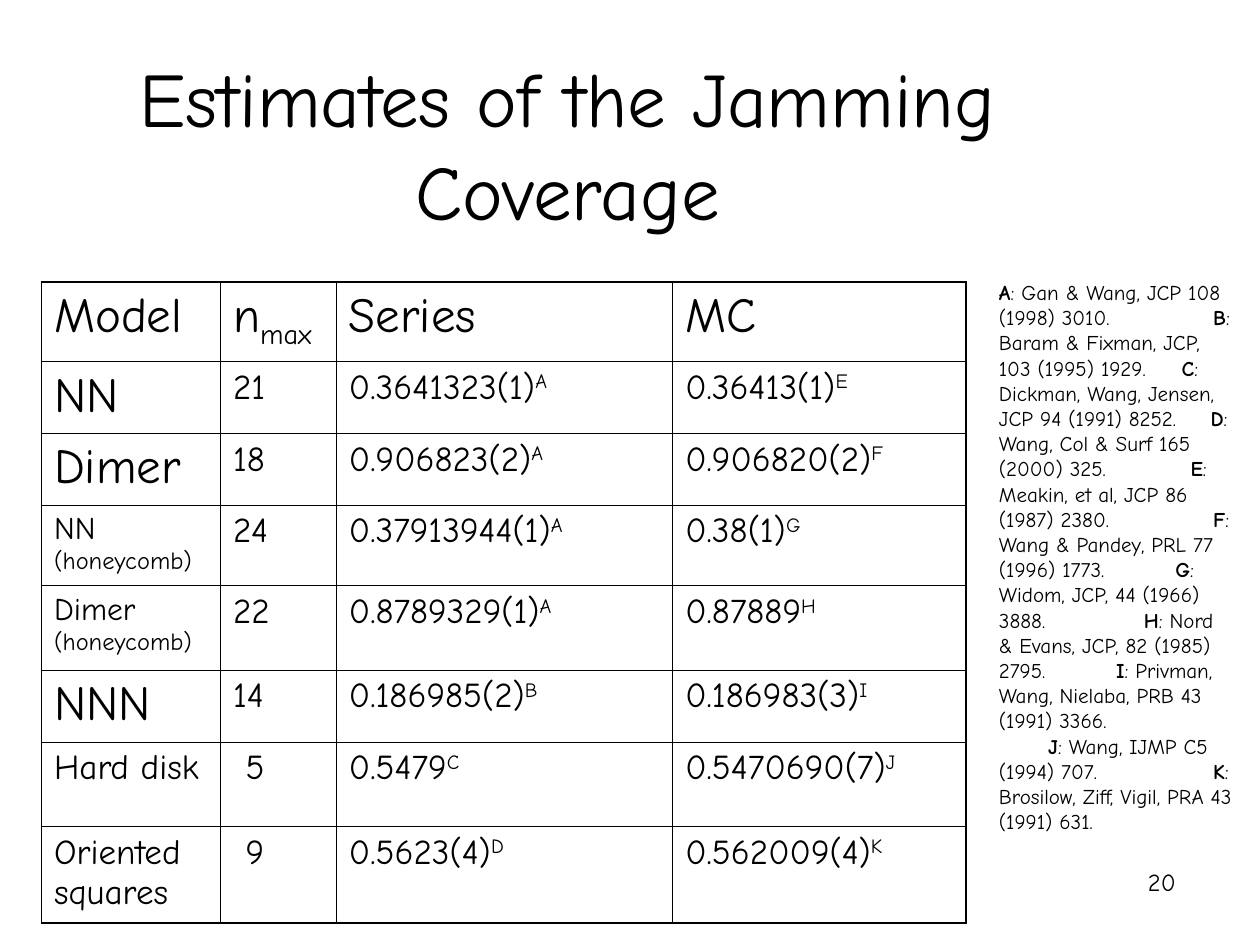
from dataclasses import dataclass
from typing import NamedTuple

from lxml.etree import SubElement
from pptx import Presentation
from pptx.dml.color import RGBColor
from pptx.enum.text import MSO_ANCHOR, MSO_AUTO_SIZE, PP_ALIGN
from pptx.oxml.ns import qn
from pptx.util import Inches, Pt

SLIDE_WIDTH = Inches(10)
SLIDE_HEIGHT = Inches(7.5)
FONT = "Comic Neue"
BLACK = "000000"
OUTER_LINE = 1.08
INNER_LINE = 0.45


class Piece(NamedTuple):
    text: str
    size: float
    baseline: int = 0
    bold: bool = False


@dataclass
class Box:
    left: float
    top: float
    width: float
    height: float

    def lengths(self) -> tuple:
        return (across(self.left), down(self.top), across(self.width), down(self.height))


@dataclass
class Model:
    label: list
    order: str
    series: tuple
    monte_carlo: tuple


class Citation(NamedTuple):
    text: str
    tab_stops: tuple = ()


def across(percent: float) -> int:
    return round(SLIDE_WIDTH * percent / 100)


def down(percent: float) -> int:
    return round(SLIDE_HEIGHT * percent / 100)


def colour(value: str) -> RGBColor:
    return RGBColor.from_string(value)


def write(paragraph, pieces: list, alignment=PP_ALIGN.LEFT) -> None:
    paragraph.alignment = alignment
    for piece in pieces:
        run = paragraph.add_run()
        run.text = piece.text
        for name, value in {"name": FONT, "size": Pt(piece.size), "bold": piece.bold}.items():
            setattr(run.font, name, value)
        run.font.color.rgb = colour(BLACK)
        if piece.baseline:
            run._r.get_or_add_rPr().set("baseline", str(piece.baseline * 1000))


def prepare(text_frame, anchor=MSO_ANCHOR.TOP) -> None:
    settings = {"word_wrap": True, "auto_size": MSO_AUTO_SIZE.NONE, "vertical_anchor": anchor}
    for name, value in settings.items():
        setattr(text_frame, name, value)


def add_text_box(slide, box: Box):
    text_frame = slide.shapes.add_textbox(*box.lengths()).text_frame
    prepare(text_frame)
    return text_frame


def add_borders(cell, widths: dict) -> None:
    properties = cell._tc.get_or_add_tcPr()
    for side, width in widths.items():
        line = SubElement(properties, qn(f"a:ln{side}"), w=str(Pt(width)))
        fill = SubElement(line, qn("a:solidFill"))
        SubElement(fill, qn("a:srgbClr"), val=BLACK)


def add_table(slide, box: Box, columns: list, heights: list, rows: list) -> None:
    table = slide.shapes.add_table(len(rows), len(columns), *box.lengths()).table
    table.first_row = table.horz_banding = False
    for column, width in zip(table.columns, columns):
        column.width = across(width)
    for row, height in zip(table.rows, heights):
        row.height = down(height)
    for r, row in enumerate(rows):
        for c, pieces in enumerate(row):
            cell = table.cell(r, c)
            outer = {"L": c == 0, "R": c == len(columns) - 1, "T": r == 0, "B": r == len(rows) - 1}
            add_borders(cell, {side: OUTER_LINE if edge else INNER_LINE for side, edge in outer.items()})
            cell.fill.background()
            if len(pieces[0].text) == 1 and pieces[0].text.isdigit():
                cell.margin_left = Inches(0.2)
            write(cell.text_frame.paragraphs[0], pieces)


def estimate(value: tuple) -> list:
    number, reference = value
    return [Piece(number, 20), Piece(reference, 20, 30)]


def citation_pieces(text: str) -> list:
    return [Piece(part, 12, bold=index % 2 == 1) for index, part in enumerate(text.split("*")) if part]


def add_citations(slide, box: Box, citations: list) -> None:
    text_frame = add_text_box(slide, box)
    for index, citation in enumerate(citations):
        paragraph = text_frame.add_paragraph() if index else text_frame.paragraphs[0]
        if citation.tab_stops:
            tab_list = SubElement(paragraph._p.get_or_add_pPr(), qn("a:tabLst"))
            for stop in citation.tab_stops:
                SubElement(tab_list, qn("a:tab"), pos=str(Inches(stop)), algn="l")
        write(paragraph, citation_pieces(citation.text))


HEADINGS = [
    [Piece("Model", 28)],
    [Piece("n", 28), Piece("max", 28, -25)],
    [Piece("Series", 28)],
    [Piece("MC", 28)],
]
HONEYCOMB = Piece("(honeycomb)", 14)
MODELS = [
    Model([Piece("NN", 28)], "21", ("0.3641323(1)", "A"), ("0.36413(1)", "E")),
    Model([Piece("Dimer", 28)], "18", ("0.906823(2)", "A"), ("0.906820(2)", "F")),
    Model([Piece("NN ", 18), HONEYCOMB], "24", ("0.37913944(1)", "A"), ("0.38(1)", "G")),
    Model([Piece("Dimer ", 18), HONEYCOMB], "22", ("0.8789329(1)", "A"), ("0.87889", "H")),
    Model([Piece("NNN", 28)], "14", ("0.186985(2)", "B"), ("0.186983(3)", "I")),
    Model([Piece("Hard disk", 20)], "5", ("0.5479", "C"), ("0.5470690(7)", "J")),
    Model([Piece("Oriented squares", 20)], "9", ("0.5623(4)", "D"), ("0.562009(4)", "K")),
]
CITATIONS = [
    Citation("*A*: Gan & Wang, JCP 108 (1998) 3010.\t*B*:", (1.7,)),
    Citation("Baram & Fixman, JCP, 103 (1995) 1929.\t*C*:", (1.45,)),
    Citation("Dickman, Wang, Jensen, JCP 94 (1991) 8252.\t*D*:", (1.68,)),
    Citation("Wang, Col & Surf 165 (2000) 325.\t*E*:", (1.52,)),
    Citation("Meakin, et al, JCP 86 (1987) 2380.\t*F*:", (1.7,)),
    Citation("Wang & Pandey, PRL 77 (1996) 1773.\t*G*:", (1.4,)),
    Citation("Widom, JCP, 44 (1966) 3888.\t*H*: Nord", (1.15,)),
    Citation("& Evans, JCP, 82 (1985) 2795.\t*I*: Privman,", (0.93,)),
    Citation("Wang, Nielaba, PRB 43 (1991) 3366."),
    Citation("\t*J*: Wang, IJMP C5 (1994) 707.\t*K*:", (0.39, 1.7)),
    Citation("Brosilow, Ziff, Vigil, PRA 43 (1991) 631."),
]


def main() -> None:
    presentation = Presentation()
    presentation.slide_width = SLIDE_WIDTH
    presentation.slide_height = SLIDE_HEIGHT
    slide = presentation.slides.add_slide(presentation.slide_layouts[5])

    title = slide.shapes.title
    title_box = Box(7.5, 2.27, 75.1, 23.33)
    for name, value in zip(("left", "top", "width", "height"), title_box.lengths()):
        setattr(title, name, value)
    prepare(title.text_frame, MSO_ANCHOR.BOTTOM)
    write(title.text_frame.paragraphs[0], [Piece("Estimates of the Jamming Coverage", 44)], PP_ALIGN.CENTER)

    columns = [14.2, 9.2, 26.7, 23.3]
    heights = [8.4, 7.6, 7.6, 8.53, 8.93, 7.6, 8.93, 10.27]
    rows = [HEADINGS] + [
        [model.label, [Piece(model.order, 20)], estimate(model.series), estimate(model.monte_carlo)]
        for model in MODELS
    ]
    add_table(slide, Box(3.3, 29.87, sum(columns), sum(heights)), columns, heights, rows)

    add_citations(slide, Box(78.3, 28.93, 20.8, 60), CITATIONS)
    number_frame = add_text_box(slide, Box(73.5, 91.07, 20.8, 6.67))
    write(number_frame.paragraphs[0], [Piece("20", 14)], PP_ALIGN.RIGHT)

    presentation.save("out.pptx")


if __name__ == "__main__":
    main()
